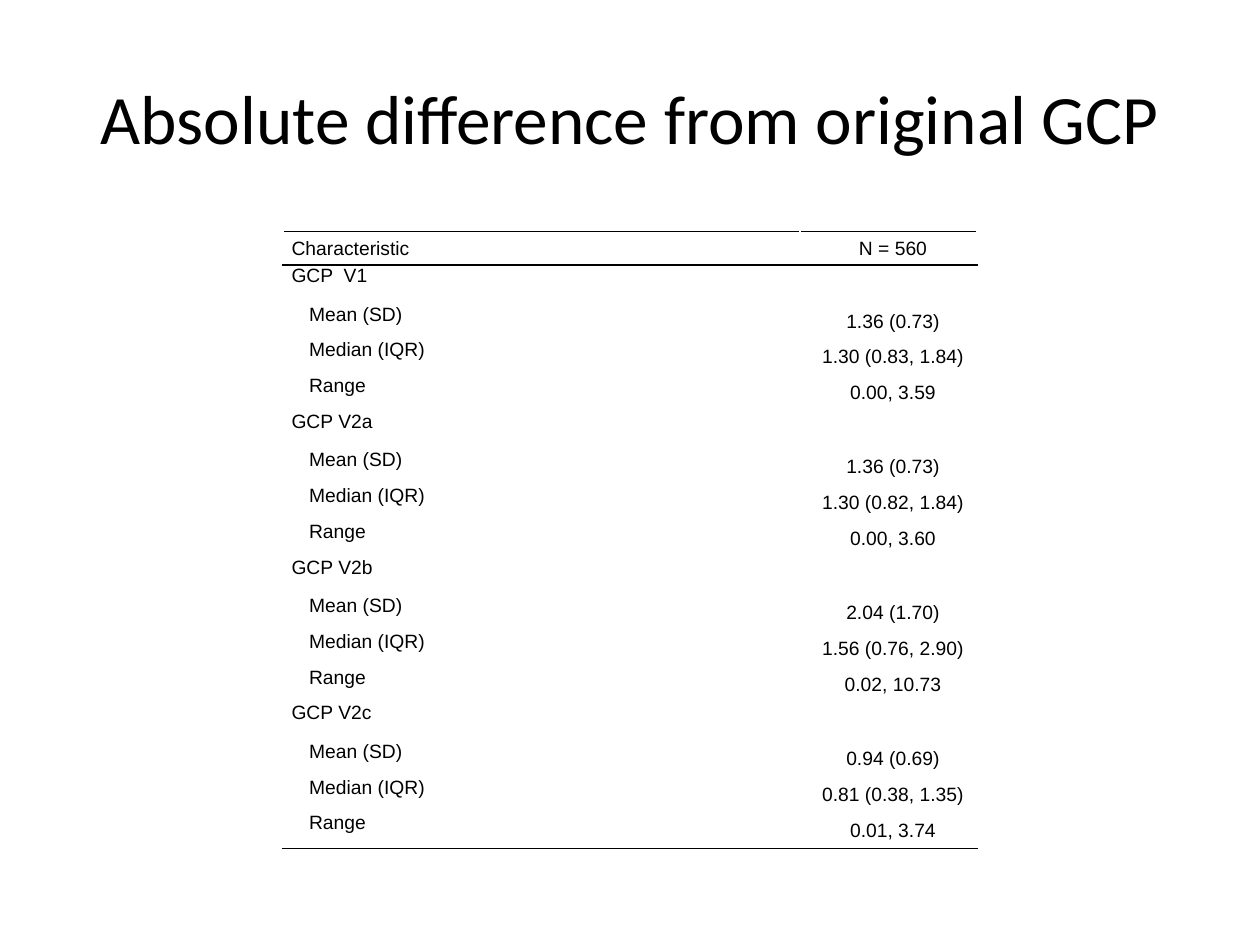
from lxml import etree
from pptx import Presentation
from pptx.dml.color import RGBColor
from pptx.enum.text import MSO_ANCHOR, MSO_AUTO_SIZE, PP_ALIGN
from pptx.oxml.ns import qn
from pptx.util import Pt

LEFT, CENTER = PP_ALIGN.LEFT, PP_ALIGN.CENTER
TOP, MIDDLE = MSO_ANCHOR.TOP, MSO_ANCHOR.MIDDLE
NO_AUTOFIT = MSO_AUTO_SIZE.NONE
TITLE_ONLY = 5
BLACK = "000000"
STATISTICS = ("Mean (SD)", "Median (IQR)", "Range")
GROUPS = (
    ("GCP  V1", ("1.36 (0.73)", "1.30 (0.83, 1.84)", "0.00, 3.59")),
    ("GCP V2a", ("1.36 (0.73)", "1.30 (0.82, 1.84)", "0.00, 3.60")),
    ("GCP V2b", ("2.04 (1.70)", "1.56 (0.76, 2.90)", "0.02, 10.73")),
    ("GCP V2c", ("0.94 (0.69)", "0.81 (0.38, 1.35)", "0.01, 3.74")),
)
HEADER_HEIGHT, GROUP_HEIGHT, STATISTIC_HEIGHT = 19.2, 20.6, 20.45


def color(hex_string):
    return RGBColor.from_string(hex_string)


def add_text(paragraph, text, font, size):
    run = paragraph.add_run()
    run.text = text
    run.font.name = font
    run.font.size = Pt(size)
    run.font.color.rgb = color(BLACK)


def add_rule(cell, side):
    properties = cell._tc.get_or_add_tcPr()
    line = etree.SubElement(properties, qn("a:ln" + side), w=str(Pt(1)))
    fill = etree.SubElement(line, qn("a:solidFill"))
    etree.SubElement(fill, qn("a:srgbClr"), val=BLACK)


def fill_cell(cell, text, align, anchor, indent, gap, rules):
    for side in rules:
        add_rule(cell, side)
    cell.fill.background()
    cell.margin_left = cell.margin_right = cell.margin_top = cell.margin_bottom = 0
    cell.vertical_anchor = anchor
    if not text:
        return
    paragraph = cell.text_frame.paragraphs[0]
    paragraph.alignment = align
    paragraph.space_before = paragraph.space_after = Pt(gap)
    paragraph._p.get_or_add_pPr().set("marL", str(Pt(indent)))
    add_text(paragraph, text, "Arial", 11)


def place_title(slide, left, top, width, height):
    title = slide.shapes.title
    title.left, title.top, title.width, title.height = map(Pt, (left, top, width, height))
    frame = title.text_frame
    frame.word_wrap = True
    frame.auto_size = NO_AUTOFIT
    frame.vertical_anchor = MIDDLE
    heading = frame.paragraphs[0]
    heading.alignment = CENTER
    add_text(heading, "Absolute difference from original GCP", "Calibri", 39.6)


def place_differences(slide, left, top, width, height):
    rows = [("Characteristic", "N = 560", HEADER_HEIGHT, 5, MIDDLE, 2)]
    for group, values in GROUPS:
        rows.append((group, "", GROUP_HEIGHT, 5, TOP, 5))
        for statistic, value in zip(STATISTICS, values):
            rows.append((statistic, value, STATISTIC_HEIGHT, 15, TOP, 5))
    table = slide.shapes.add_table(len(rows), 2, Pt(left), Pt(top), Pt(width), Pt(height)).table
    table.first_row = table.horz_banding = False
    value_width = 101.2
    table.columns[0].width = Pt(width - value_width)
    table.columns[1].width = Pt(value_width)
    rules = {0: "TB", 1: "T", len(rows) - 1: "B"}
    for index, (label, value, row_height, indent, anchor, gap) in enumerate(rows):
        table.rows[index].height = Pt(row_height)
        sides = rules.get(index, "")
        fill_cell(table.cell(index, 0), label, LEFT, anchor, indent, gap, sides)
        fill_cell(table.cell(index, 1), value, CENTER, MIDDLE, 5, gap, sides)


deck = Presentation()
deck.slide_width, deck.slide_height = Pt(720), Pt(540)
slide = deck.slides.add_slide(deck.slide_layouts[TITLE_ONLY])
place_title(slide, 36, 21.6, 648, 90)
place_differences(slide, 161.6, 132.3, 396.8, 350.6)
deck.save("out.pptx")
